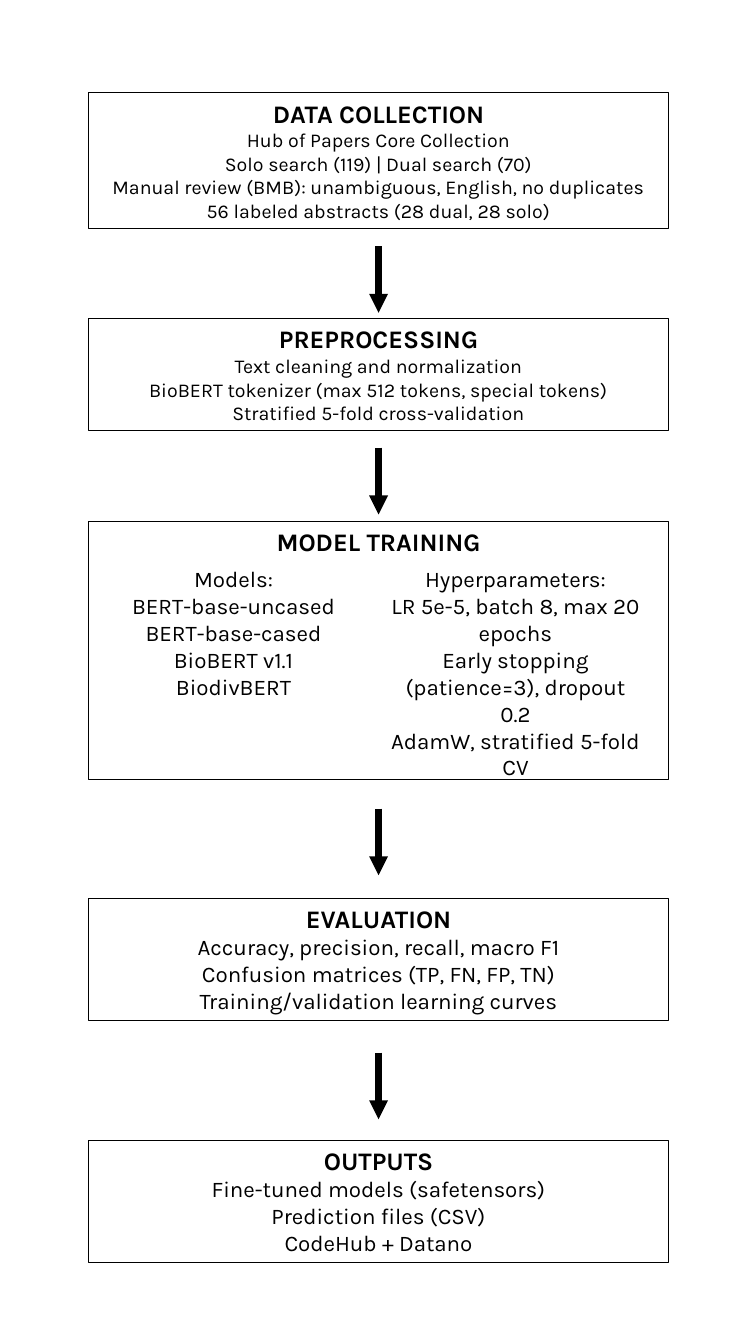
from lxml.etree import SubElement
from pptx import Presentation
from pptx.dml.color import RGBColor
from pptx.enum.shapes import MSO_CONNECTOR as Connector, MSO_SHAPE as Shape
from pptx.enum.text import MSO_ANCHOR as Anchor, PP_ALIGN as Align
from pptx.oxml.ns import qn
from pptx.util import Cm, Pt

FONT = "Karla"
BLACK = "000000"
BOX_LEFT, BOX_WIDTH = 2.24, 14.6
ARROW_LENGTH = 1.68

STAGES = [
    (2.34, 3.43, "DATA COLLECTION", 14, [
        "Hub of Papers Core Collection",
        "Solo search (119) | Dual search (70)",
        "Manual review (BMB): unambiguous, English, no duplicates",
        "56 labeled abstracts (28 dual, 28 solo)"]),
    (8.03, 2.82, "PREPROCESSING", 14, [
        "Text cleaning and normalization",
        "BioBERT tokenizer (max 512 tokens, special tokens)",
        "Stratified 5-fold cross-validation"]),
    (22.63, 3.07, "EVALUATION", 16, [
        "Accuracy, precision, recall, macro F1",
        "Confusion matrices (TP, FN, FP, TN)",
        "Training/validation learning curves"]),
    (28.73, 3.07, "OUTPUTS", 16, [
        "Fine-tuned models (safetensors)",
        "Prediction files (CSV)",
        "CodeHub + Datano"]),
]
MODELS = ["Models:", "BERT-base-uncased", "BERT-base-cased",
          "BioBERT v1.1", "BiodivBERT"]
HYPERPARAMETERS = ["Hyperparameters:", "LR 5e-5, batch 8, max 20 epochs",
                   "Early stopping (patience=3), dropout 0.2",
                   "AdamW, stratified 5-fold CV"]
ARROW_TOPS = [6.2, 11.28, 20.37, 26.52]


def color(value):
    return RGBColor.from_string(value)


def write(paragraph, text, size=16, bold=False):
    paragraph.alignment = Align.CENTER
    run = paragraph.add_run()
    run.text = text
    run.font.name = FONT
    run.font.size = Pt(size)
    run.font.bold = bold
    run.font.color.rgb = color(BLACK)


def write_lines(frame, lines, **text_format):
    for line in lines:
        first = frame.paragraphs[0]
        write(first if not first.runs else frame.add_paragraph(), line, **text_format)


def add_stage(slide, left, top, width, height, heading, size=16, details=()):
    shape = slide.shapes.add_shape(Shape.RECTANGLE, Cm(left), Cm(top), Cm(width), Cm(height))
    shape.shadow.inherit = False
    shape.fill.background()
    shape.line.color.rgb = color(BLACK)
    shape.line.width = Pt(0.75)
    frame = shape.text_frame
    frame.word_wrap = True
    frame.vertical_anchor = Anchor.TOP
    write_lines(frame, [heading], size=18, bold=True)
    write_lines(frame, details, size=size)


def add_column(slide, left, top, width, height, lines):
    frame = slide.shapes.add_textbox(Cm(left), Cm(top), Cm(width), Cm(height)).text_frame
    frame.word_wrap = True
    write_lines(frame, lines)


def add_training(slide, left, top, width, height):
    add_stage(slide, left, top, width, height, "MODEL TRAINING")
    add_column(slide, left + 0.38, top + 0.99, 6.53, 3.68, MODELS)
    add_column(slide, left + 7.31, top + 0.99, 6.88, 5.05, HYPERPARAMETERS)


def add_arrow(slide, center, top, length):
    arrow = slide.shapes.add_connector(
        Connector.STRAIGHT, Cm(center), Cm(top), Cm(center), Cm(top + length))
    arrow.line.color.rgb = color(BLACK)
    arrow.line.width = Pt(4.5)
    SubElement(arrow.line._get_or_add_ln(), qn("a:tailEnd"), type="triangle")
    SubElement(arrow._element.spPr, qn("a:effectLst"))


def main():
    presentation = Presentation()
    presentation.slide_width = Cm(19.05)
    presentation.slide_height = Cm(33.86)
    slide = presentation.slides.add_slide(presentation.slide_layouts[6])
    for top, height, heading, size, details in STAGES:
        add_stage(slide, BOX_LEFT, top, BOX_WIDTH, height, heading, size, details)
    add_training(slide, BOX_LEFT, 13.13, BOX_WIDTH, 6.5)
    for top in ARROW_TOPS:
        add_arrow(slide, BOX_LEFT + BOX_WIDTH / 2, top, ARROW_LENGTH)
    presentation.save("out.pptx")


if __name__ == "__main__":
    main()
